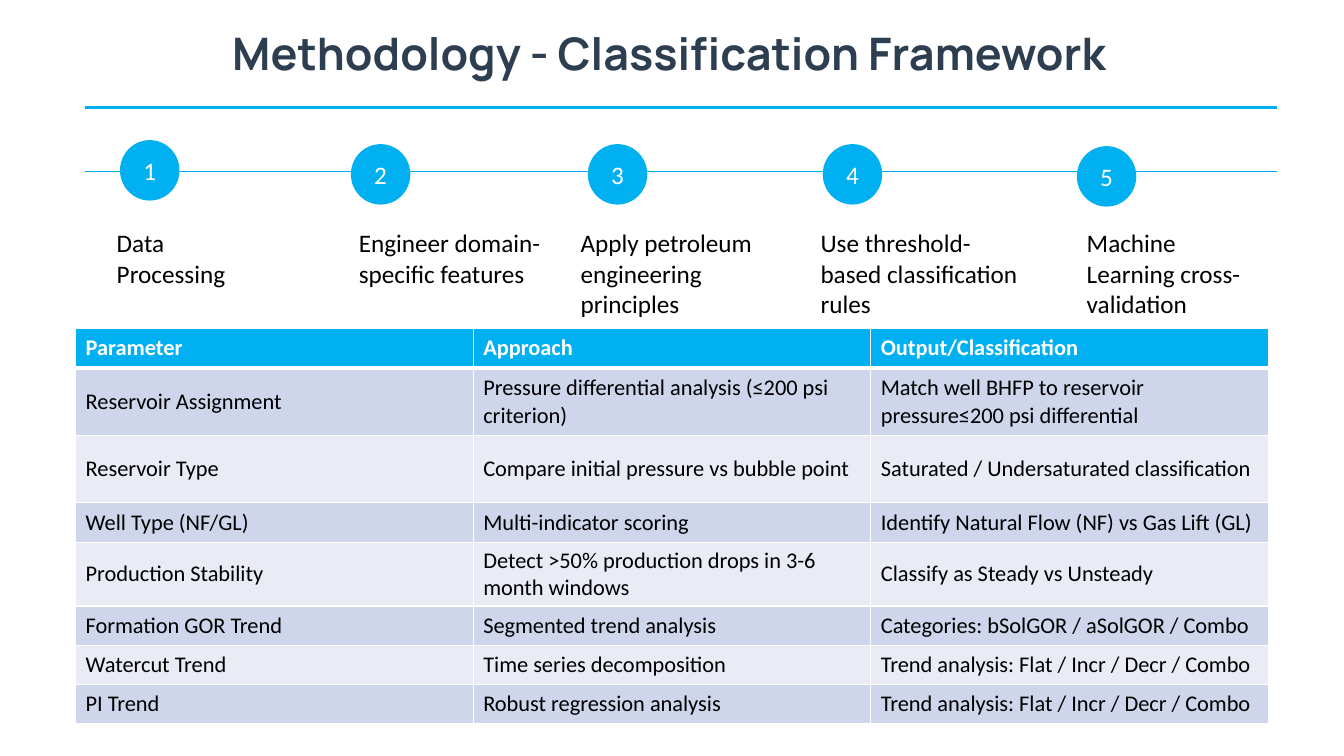
from lxml import etree
from pptx import Presentation
from pptx.dml.color import RGBColor
from pptx.enum.shapes import MSO_CONNECTOR, MSO_SHAPE
from pptx.enum.text import MSO_ANCHOR, PP_ALIGN
from pptx.oxml import parse_xml
from pptx.oxml.ns import nsdecls, qn
from pptx.util import Inches, Pt

LINE = MSO_CONNECTOR.STRAIGHT
DISC = MSO_SHAPE.FLOWCHART_CONNECTOR
MIDDLE = MSO_ANCHOR.MIDDLE
LEFT, CENTER = PP_ALIGN.LEFT, PP_ALIGN.CENTER

COLORS = {
    "blue": "00B0F0",
    "navy": "2C3E50",
    "white": "FFFFFF",
    "black": "000000",
    "dark": "CFD5EA",
    "light": "E9EBF5",
}

STEPS = [
    ("Data Processing", 1.19, 1.39, 1.06, 1.8),
    ("Engineer domain-specific features", 3.48, 1.43, 3.46, 2.01),
    ("Apply petroleum engineering principles", 5.83, 1.43, 5.66, 2.01),
    ("Use threshold-based classification rules", 8.16, 1.43, 8.04, 2.16),
    ("Machine Learning cross-validation", 10.68, 1.45, 10.68, 1.99),
]

ROWS = [
    (0.39, "Parameter", "Approach", "Output/Classification"),
    (0.67, "Reservoir Assignment", "Pressure differential analysis (≤200 psi criterion)",
     "Match well BHFP to reservoir pressure≤200 psi differential"),
    (0.67, "Reservoir Type", "Compare initial pressure vs bubble point",
     "Saturated / Undersaturated classification"),
    (0.39, "Well Type (NF/GL)", "Multi-indicator scoring",
     "Identify Natural Flow (NF) vs Gas Lift (GL)"),
    (0.63, "Production Stability", "Detect >50% production drops in 3-6 month windows",
     "Classify as Steady vs Unsteady"),
    (0.39, "Formation GOR Trend", "Segmented trend analysis",
     "Categories: bSolGOR / aSolGOR / Combo"),
    (0.39, "Watercut Trend", "Time series decomposition",
     "Trend analysis: Flat / Incr / Decr / Combo"),
    (0.39, "PI Trend", "Robust regression analysis",
     "Trend analysis: Flat / Incr / Decr / Combo"),
]


def color(name):
    return RGBColor.from_string(COLORS[name])


def write(frame, text, size, tint, align=LEFT, bold=False, face="Calibri"):
    frame.word_wrap = True
    para = frame.paragraphs[0]
    para.text = text
    para.alignment = align
    font = para.font
    font.name = face
    font.size = Pt(size)
    font.bold = bold
    font.color.rgb = color(tint)


def add_text(slide, box, text, size, tint, **style):
    shape = slide.shapes.add_textbox(*map(Inches, box))
    write(shape.text_frame, text, size, tint, **style)


def add_rule(slide, top, width):
    rule = slide.shapes.add_connector(
        LINE, Inches(0.84), Inches(top), Inches(12.67), Inches(top))
    rule.line.color.rgb = color("blue")
    rule.line.width = Pt(width)
    etree.SubElement(rule._element.spPr, qn("a:effectLst"))


def add_disc(slide, left, top, label):
    disc = slide.shapes.add_shape(
        DISC, Inches(left), Inches(top), Inches(0.59), Inches(0.6))
    disc.shadow.inherit = False
    disc.fill.solid()
    disc.fill.fore_color.rgb = color("blue")
    disc.line.fill.background()
    frame = disc.text_frame
    frame.margin_left = frame.margin_right = 0
    frame.vertical_anchor = MIDDLE
    write(frame, label, 18, "white", align=CENTER)


def add_edges(cell, top, base):
    props = cell._tc.get_or_add_tcPr()
    edges = [("lnL", 1), ("lnR", 1), ("lnT", top), ("lnB", base)]
    for index, (tag, width) in enumerate(edges):
        props.insert(index, parse_xml(
            f'<a:{tag} {nsdecls("a")} w="{Pt(width)}"><a:solidFill>'
            f'<a:srgbClr val="{COLORS["white"]}"/></a:solidFill></a:{tag}>'))


def add_grid(slide):
    high = sum(row[0] for row in ROWS)
    grid = slide.shapes.add_table(
        len(ROWS), 3, Inches(0.75), Inches(3.26), Inches(11.83), Inches(high)).table
    for index, (height, *texts) in enumerate(ROWS):
        grid.rows[index].height = Inches(height)
        head = index == 0
        fill = "blue" if head else "dark" if index % 2 else "light"
        for place, text in enumerate(texts):
            cell = grid.cell(index, place)
            cell.vertical_anchor = MIDDLE
            cell.fill.solid()
            cell.fill.fore_color.rgb = color(fill)
            write(cell.text_frame, text, 16, "white" if head else "black", bold=head)
            add_edges(cell, 3 if index == 1 else 1, 3 if head else 1)


def main():
    deck = Presentation()
    deck.slide_width = Inches(13.33)
    deck.slide_height = Inches(7.5)
    slide = deck.slides.add_slide(deck.slide_layouts[6])
    add_text(slide, (0.84, 0.21, 11.6, 0.64), "Methodology - Classification Framework",
             32, "navy", align=CENTER, bold=True, face="Manrope")
    add_rule(slide, 1.07, 2.25)
    add_grid(slide)
    add_rule(slide, 1.7, 0.25)
    for number, (text, left, top, start, width) in enumerate(STEPS, 1):
        add_disc(slide, left, top, str(number))
        add_text(slide, (start, 2.21, width, 1.01), text, 18, "black")
    deck.save("out.pptx")


if __name__ == "__main__":
    main()
